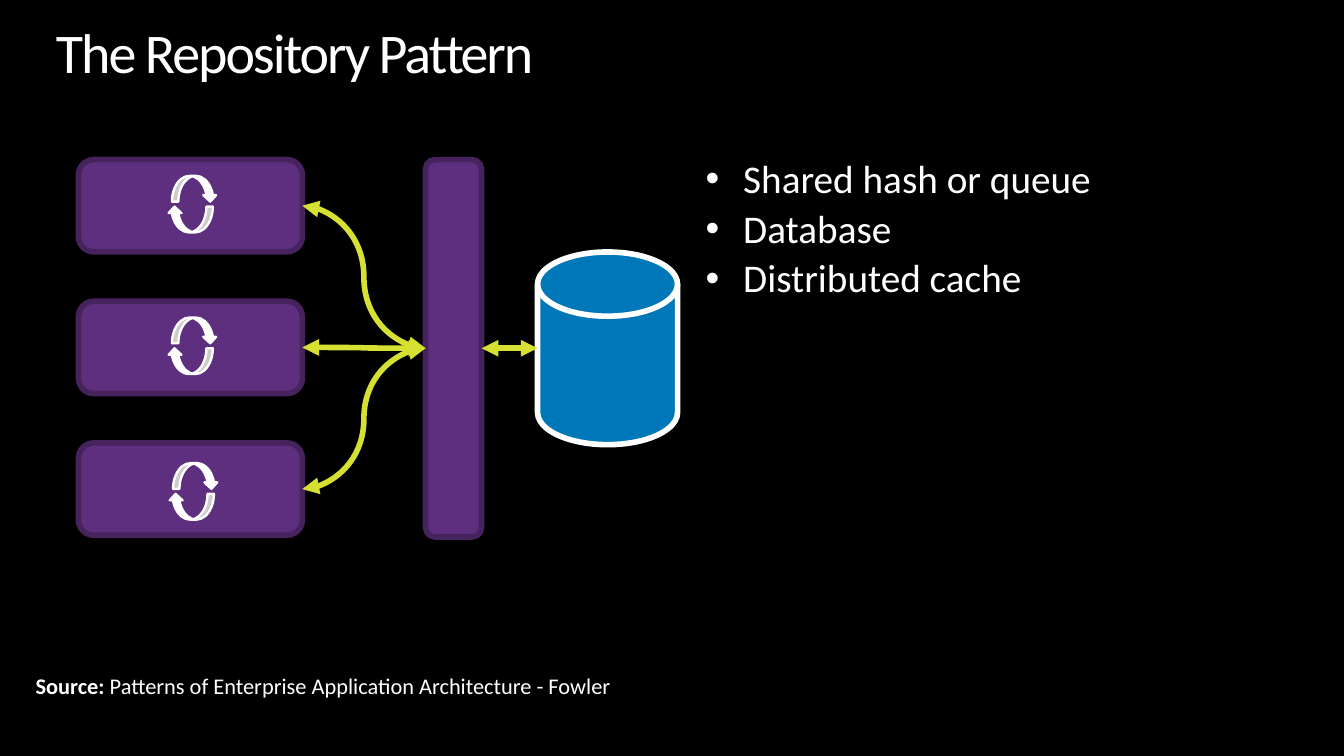
from pptx import Presentation
from pptx.dml.color import RGBColor
from pptx.enum.shapes import MSO_CONNECTOR as CONN, MSO_SHAPE as SHAPE
from pptx.oxml.ns import qn
from pptx.util import Inches, Pt
from lxml.etree import SubElement

COLORS = {
    "black": "000000", "white": "FFFFFF", "purple": "5E2F7E",
    "edge": "46235D", "blue": "0077B8", "lime": "D6E032",
}
COLS = 120
ROWS = 67.5

prs = Presentation()
prs.slide_width = Inches(10)
prs.slide_height = Inches(5.625)
col = prs.slide_width / COLS
row = prs.slide_height / ROWS
s = prs.slides.add_slide(prs.slide_layouts[6])
s.background.fill.solid()
s.background.fill.fore_color.rgb = RGBColor.from_string(COLORS["black"])


def add_box(kind, x, y, w, h, fill, line, width=3):
    sp = s.shapes.add_shape(kind, int(x * col), int(y * row), int(w * col), int(h * row))
    sp.shadow.inherit = False
    sp.fill.solid()
    sp.fill.fore_color.rgb = RGBColor.from_string(COLORS[fill])
    sp.line.color.rgb = RGBColor.from_string(COLORS[line])
    sp.line.width = Pt(width)
    return sp


def add_text(x, y, w, h, size, paragraphs, margin=(0, 0)):
    tf = s.shapes.add_textbox(int(x * col), int(y * row), int(w * col), int(h * row)).text_frame
    tf.word_wrap = True
    tf.margin_left = tf.margin_right = Inches(margin[0])
    tf.margin_top = tf.margin_bottom = Inches(margin[1])
    for i, runs in enumerate(paragraphs):
        p = tf.paragraphs[0] if i == 0 else tf.add_paragraph()
        for text in runs:
            p.add_run().text = text
    for p in tf.paragraphs:
        for r in p.runs:
            r.font.name = "Calibri"
            r.font.size = Pt(size)
            r.font.color.rgb = RGBColor.from_string(COLORS["white"])
    return tf


tf = add_text(5, 2.25, 110, 5.4, 30, [["The Repository Pattern"]])
p = tf.paragraphs[0]
p.line_spacing = 0.9
p.runs[0]._r.get_or_add_rPr().set("spc", "-110")

tf = add_text(63, 14.25, 52, 17.5, 21,
              [["Shared hash or queue"], ["Database"], ["Distributed cache"]])
for i, p in enumerate(tf.paragraphs):
    pPr = p._p.get_or_add_pPr()
    pPr.set("marL", str(Inches(0.28)))
    pPr.set("indent", str(-Inches(0.28)))
    SubElement(pPr, qn("a:buFont")).set("typeface", "Arial")
    SubElement(pPr, qn("a:buChar")).set("char", "•")
    p.line_spacing = 0.9
    if i:
        p.space_before = Pt(4)

tf = add_text(2, 59.4, 109, 3.6, 12,
              [["Source: ", "Patterns of Enterprise Application Architecture - Fowler"]],
              margin=(0.1, 0.05))
tf.paragraphs[0].runs[0].font.bold = True

LEFT, TOP, PITCH = 7, 14.25, 12.65
BOX_W, BOX_H = 20, 8.25
BAR_X, BAR_W, BAR_H = 38, 5, 33.7
DISK_X, DISK_W, DISK_H = 48, 12.5, 17.2
MID = TOP + BAR_H / 2

workers = []
for i, (dx, dy) in enumerate([(8.35, 1.45), (8.35, 1.45), (8.45, 1.8)]):
    y = TOP + i * PITCH
    workers.append(add_box(SHAPE.ROUNDED_RECTANGLE, LEFT, y, BOX_W, BOX_H, "purple", "edge"))
    for shift, drop, turn in [(0, 0, 0), (-0.35, 2.75, 180)]:
        sp = add_box(SHAPE.CURVED_DOWN_ARROW, LEFT + dx + shift, y + dy + drop, 4, 2.3,
                     "white", "white", 1.25)
        sp.rotation = turn

add_box(SHAPE.FLOWCHART_MAGNETIC_DISK, DISK_X, MID - DISK_H / 2, DISK_W, DISK_H, "blue", "white")
bar = add_box(SHAPE.ROUNDED_RECTANGLE, BAR_X, TOP, BAR_W, BAR_H, "purple", "edge")

links = []
for worker in workers:
    link = s.shapes.add_connector(CONN.CURVE, 0, 0, 0, 0)
    link.begin_connect(bar, 1)
    link.end_connect(worker, 3)
    links.append(link)
link = s.shapes.add_connector(CONN.STRAIGHT, int(DISK_X * col), int(MID * row),
                              int((BAR_X + BAR_W) * col), int(MID * row))
link.end_connect(bar, 3)
links.append(link)

for link in links:
    link.line.color.rgb = RGBColor.from_string(COLORS["lime"])
    link.line.width = Pt(3)
    ln = link.line._get_or_add_ln()
    for end in ("a:headEnd", "a:tailEnd"):
        SubElement(ln, qn(end)).set("type", "triangle")
    SubElement(link._element.spPr, qn("a:effectLst"))

prs.save("out.pptx")
